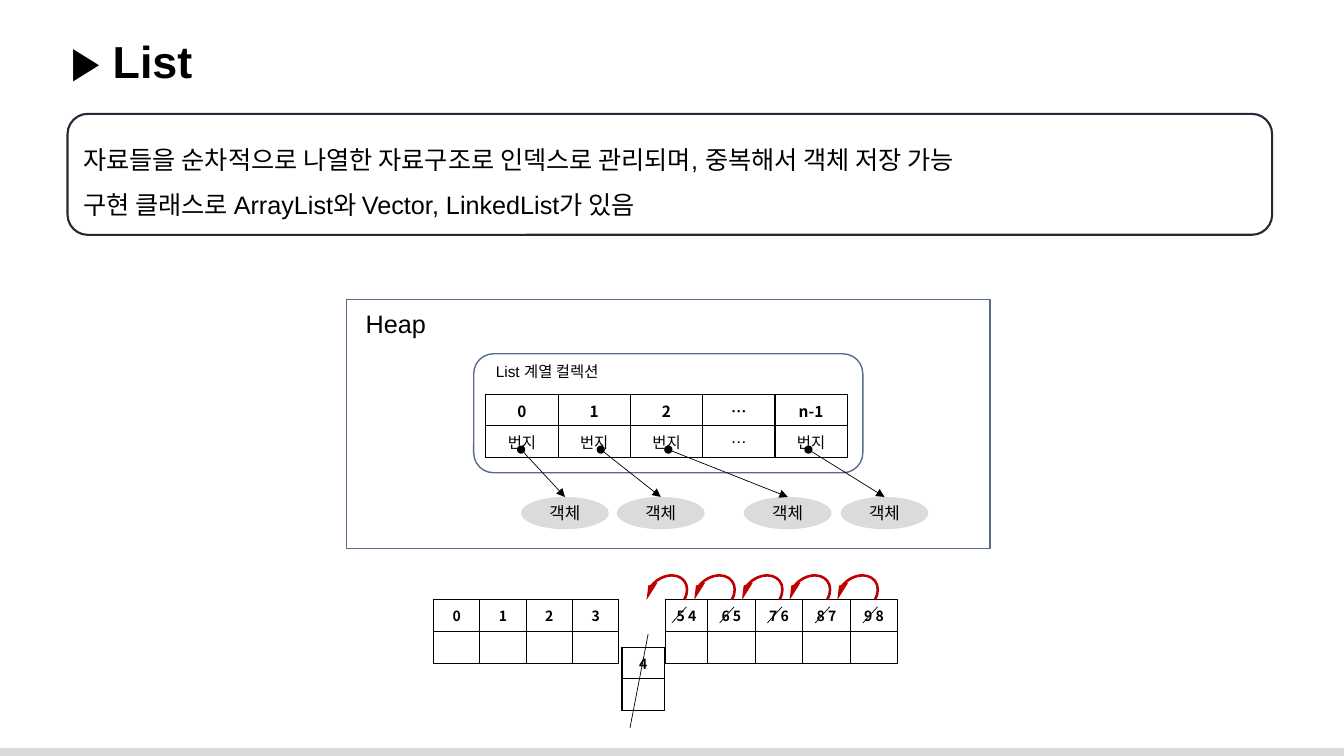
from lxml import etree
from pptx import Presentation
from pptx.dml.color import RGBColor
from pptx.enum.shapes import MSO_CONNECTOR, MSO_SHAPE
from pptx.enum.text import MSO_ANCHOR, MSO_AUTO_SIZE, PP_ALIGN
from pptx.oxml.ns import qn
from pptx.util import Inches, Pt

COLUMNS, ROWS = 133.33, 75  # grid cells of a tenth of an inch
BLACK, NAVY, SLATE = "000000", "222A35", "586C89"
BAR_GREY, OBJECT_GREY, RED = "D9D9D9", "DBDBDB", "C00000"
LATIN, KOREAN = "Arial", "Noto Sans CJK KR"


def grid(*cells):
    """Turn grid columns or rows into lengths."""
    return [Inches(cell / 10) for cell in cells]


def rgb(code):
    """Turn a hex string into a colour."""
    return RGBColor.from_string(code)


class SlideBuilder:
    """Holds the style and the current slide."""

    def __init__(self, deck):
        """Add a title-only slide to the deck."""
        self.slide = deck.slides.add_slide(deck.slide_layouts[5])
        self.shapes = self.slide.shapes

    def set_text(self, frame, lines, size, font=LATIN, bold=False,
                 align=PP_ALIGN.LEFT, spacing=None):
        """Fill a text frame with one paragraph per line."""
        for index, line in enumerate(lines):
            paragraph = frame.paragraphs[0] if index == 0 else frame.add_paragraph()
            paragraph.alignment = align
            if spacing:
                paragraph.line_spacing = spacing
            if not line:
                etree.SubElement(paragraph._p, qn("a:endParaRPr"), sz=str(size * 100))
                continue
            run = paragraph.add_run()
            run.text = line
            run.font.size, run.font.bold, run.font.name = Pt(size), bold, font
            run.font.color.rgb = rgb(BLACK)
            etree.SubElement(run._r.get_or_add_rPr(), qn("a:ea"), typeface=KOREAN)

    def title(self, text, box):
        """Place and format the title placeholder."""
        title = self.shapes.title
        title.left, title.top, title.width, title.height = grid(*box)
        frame = title.text_frame
        frame.word_wrap, frame.vertical_anchor = True, MSO_ANCHOR.TOP
        frame.auto_size = MSO_AUTO_SIZE.NONE
        self.set_text(frame, [text], 32, bold=True)

    def shape(self, kind, box, fill=None, line=None, weight=1):
        """Add a preset shape with an optional fill and outline."""
        shape = self.shapes.add_shape(kind, *grid(*box))
        shape.shadow.inherit = False
        if fill:
            shape.fill.solid()
            shape.fill.fore_color.rgb = rgb(fill)
        else:
            shape.fill.background()
        if line:
            shape.line.color.rgb, shape.line.width = rgb(line), Pt(weight)
        else:
            shape.line.fill.background()
        return shape

    def label(self, text, box, size):
        """Add a one-line text box."""
        frame = self.shapes.add_textbox(*grid(*box)).text_frame
        frame.word_wrap = False
        frame.auto_size = MSO_AUTO_SIZE.SHAPE_TO_FIT_TEXT
        self.set_text(frame, [text], size)

    def table(self, left, top, widths, rows, size, row_height=3.15):
        """Add a black-ruled table whose first row is bold."""
        box = grid(left, top, sum(widths), row_height * len(rows))
        table = self.shapes.add_table(len(rows), len(widths), *box).table
        table.first_row = table.horz_banding = False
        for column, width in zip(table.columns, grid(*widths)):
            column.width = width
        for r, texts in enumerate(rows):
            table.rows[r].height = grid(row_height)[0]
            for c, text in enumerate(texts):
                cell = table.cell(r, c)
                cell.vertical_anchor = MSO_ANCHOR.MIDDLE
                cell.fill.background()
                self.rule(cell)
                self.set_text(cell.text_frame, [text], size, KOREAN, r == 0,
                              PP_ALIGN.CENTER)

    def rule(self, cell):
        """Draw the four borders of a table cell."""
        properties = cell._tc.get_or_add_tcPr()
        for index, side in enumerate(("lnL", "lnR", "lnT", "lnB")):
            border = etree.Element(qn("a:" + side), w=str(Pt(1)))
            fill = etree.SubElement(border, qn("a:solidFill"))
            etree.SubElement(fill, qn("a:srgbClr"), val=BLACK)
            properties.insert(index, border)

    def line(self, start, end, arrow=False):
        """Add a thin line, or an arrow that starts with a dot."""
        line = self.shapes.add_connector(MSO_CONNECTOR.STRAIGHT, *grid(*start, *end))
        line.line.color.rgb, line.line.width = rgb(BLACK), Pt(0.5)
        if arrow:
            outline = line.line._get_or_add_ln()
            etree.SubElement(outline, qn("a:headEnd"), type="oval")
            etree.SubElement(outline, qn("a:tailEnd"), type="triangle")
        etree.SubElement(line._element.spPr, qn("a:effectLst"))

    def shift_arrow(self, left, top):
        """Add a curved arrow that points one cell to the left."""
        arrow = self.shape(MSO_SHAPE.CIRCULAR_ARROW, (left, top, 4.3, 5.3), RED)
        for index, value in enumerate((0.06, 31.15, 10.31, 129.96, 0.11)):
            arrow.adjustments[index] = value
        arrow.rotation = 53.1
        arrow._element.spPr.find(qn("a:xfrm")).set("flipH", "1")


deck = Presentation()
deck.slide_width, deck.slide_height = grid(COLUMNS, ROWS)
page = SlideBuilder(deck)

page.shape(MSO_SHAPE.RECTANGLE, (0, 74.2, COLUMNS, 0.8), BAR_GREY)
page.title("▶ List", (6, 2.8, 126, 6.4))
summary = page.shape(MSO_SHAPE.ROUNDED_RECTANGLE, (6.7, 11.3, 119.5, 12),
                     line=NAVY, weight=1.5)
page.set_text(summary.text_frame, [
    "자료들을 순차적으로 나열한 자료구조로 인덱스로 관리되며, 중복해서 객체 저장 가능",
    "구현 클래스로 ArrayList와 Vector, LinkedList가 있음",
], 18, spacing=1.5)

# Heap with the collection and the objects its cells refer to
page.shape(MSO_SHAPE.RECTANGLE, (34.4, 29.7, 63.8, 24.7), line=SLATE)
page.label("Heap", (35.3, 30.1, 8.2, 4), 18)
page.shape(MSO_SHAPE.ROUNDED_RECTANGLE, (47, 35.1, 38.6, 11.8), line=SLATE)
page.label("List 계열 컬렉션", (48.2, 35.4, 13.3, 2.9), 11)
page.table(48.2, 39.1, [7.17] * 5, [
    ["0", "1", "2", "…", "n-1"],
    ["번지", "번지", "번지", "…", "번지"],
], 11)
OBJECT_TOP, OBJECT_WIDTH = 49.3, 8.7
references = [(51.7, 51.7), (59.6, 61.2), (66.3, 73.8), (80.2, 83.4)]
for address, left in references:
    item = page.shape(MSO_SHAPE.OVAL, (left, OBJECT_TOP, OBJECT_WIDTH, 3.2), OBJECT_GREY)
    page.set_text(item.text_frame, ["객체"], 12, align=PP_ALIGN.CENTER)
for address, left in references:
    page.line((address, 44.6), (left + OBJECT_WIDTH / 2, OBJECT_TOP), arrow=True)

# Removing index 4 moves the later cells forward
moved = [f"{index} {index - 1}" for index in range(5, 10)]
page.table(43, 59.5, [4.6] * 4, [["0", "1", "2", "3"], [""] * 4], 10)
page.table(66, 59.5, [4.2] + [4.72] * 4, [moved, [""] * 5], 10)
page.table(61.7, 64.2, [4.2], [["4"], [""]], 10)
page.line((64.3, 62.9), (62.5, 72.2))
for step in range(len(moved)):
    strike = 68.1 + 4.74 * step
    page.line((strike, 60.2), (strike - 1.45, 61.8))
for step in range(len(moved)):
    page.shift_arrow(64 + 4.73 * step, 56.3)

deck.save("out.pptx")
